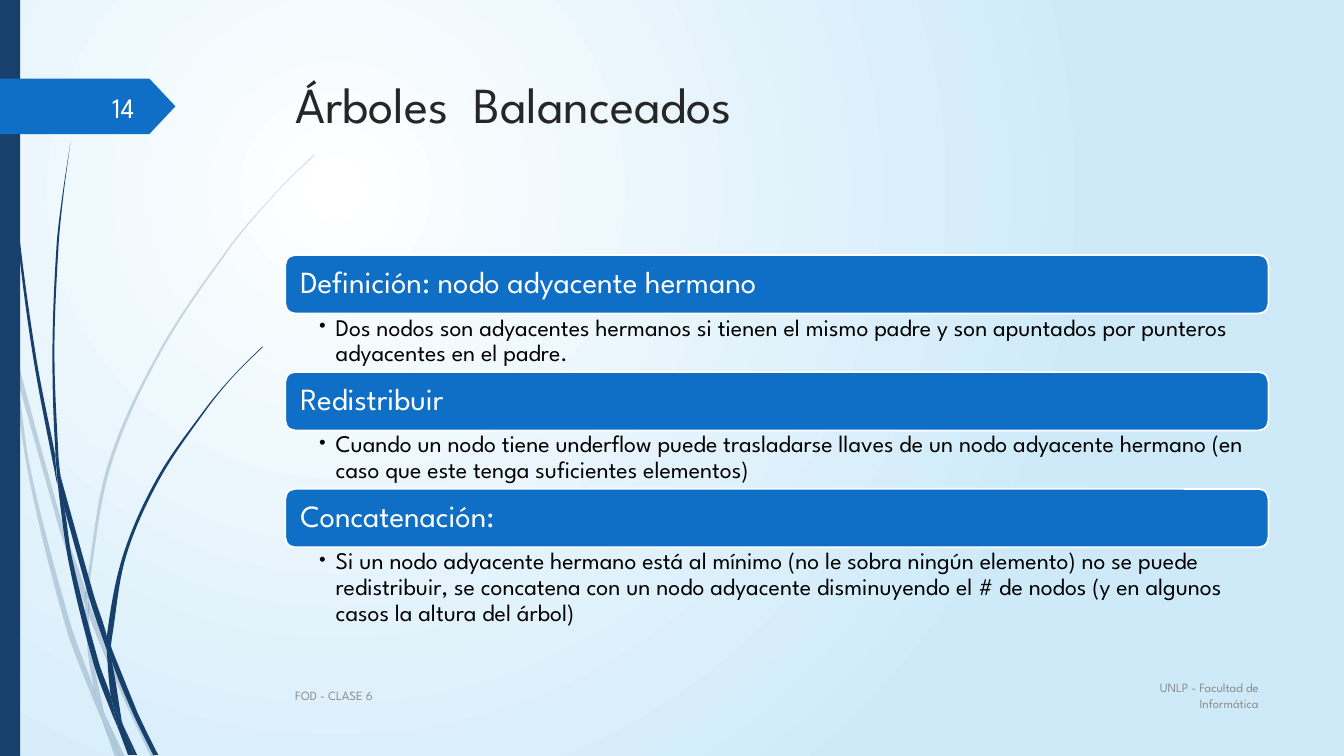
from lxml import etree
from pptx import Presentation
from pptx.dml.color import RGBColor
from pptx.enum import shapes, text
from pptx.oxml import ns
from pptx.util import Inches, Pt

COLORS = {"navy": "17406D", "blue": "0F6FC6", "sky": "CEEAF9", "white": "FFFFFF",
          "title": "262626", "black": "000000", "footer": "8C8C8C", "number": "FEFFFF"}
FONT = "League Spartan"

# Closed outlines of the grass blades, in inches.
LIGHT_BLADES = [
    [(0.11, 3.5), (0.09, 3.22), (0, 2.82), (0, 2.99), (0.1, 3.44)],
    [(0.58, 5.22), (0.84, 5.99), (0.85, 5.86), (0.62, 5.2), (0.14, 3.45), (0.17, 3.76)],
    [(0.92, 6.07), (0.88, 5.96), (0.88, 6.1), (1.23, 6.94), (1.5, 7.51), (1.55, 7.51),
     (1.27, 6.92)],
    [(1.19, 7.51), (1.24, 7.51), (1.05, 7.11)],
    [(0.93, 6.83), (0.7, 6.19), (0.31, 4.69), (0.17, 3.76), (0.11, 3.5), (0.28, 4.7),
     (0.65, 6.21), (0.92, 6.93), (1.01, 7.14), (0.99, 7.07)],
    [(0.84, 5.99), (0.87, 6.46), (0.93, 6.83), (0.96, 6.92), (1.05, 7.11), (1.03, 7.06),
     (0.91, 6.46), (0.88, 6.1), (0.88, 6.08)],
    [(0.88, 5.84), (1.1, 4.62), (1.6, 3.49), (2.29, 2.45), (2.68, 1.98), (2.9, 1.75),
     (3.12, 1.54), (3.12, 1.53), (2.89, 1.75), (2.68, 1.97), (2.28, 2.44), (1.58, 3.48),
     (1.07, 4.61), (0.85, 5.84), (0.85, 5.86), (0.88, 5.96)],
    [(1.01, 7.14), (1.14, 7.51), (1.19, 7.51)],
    [(0.88, 6.08), (0.88, 6.1), (0.88, 5.96), (0.85, 5.86), (0.84, 5.99)],
    [(0.96, 6.92), (0.93, 6.83), (0.99, 7.07), (1.01, 7.14), (1.19, 7.51), (1.05, 7.11)],
]
DARK_BLADES = [
    [(0.07, 1.1), (0.17, 2.33), (0.33, 3.55), (0.56, 4.77), (0.57, 4.81), (0.55, 4.57),
     (0.55, 4.53), (0.36, 3.55), (0.19, 2.32), (0.08, 1.09), (0.04, 0), (0.03, 0)],
    [(0.88, 5.92), (1.06, 6.45), (1.06, 6.31), (0.93, 5.9), (0.6, 4.72), (0.64, 5.05)],
    [(1.13, 6.49), (1.1, 6.41), (1.11, 6.56), (1.32, 7.08), (1.52, 7.49), (1.57, 7.49),
     (1.36, 7.06)],
    [(1.1, 6.91), (0.98, 6.57), (0.72, 5.56), (0.64, 5.05), (0.57, 4.77), (0.68, 5.57),
     (0.93, 6.59), (1.11, 7.08), (1.17, 7.22), (1.16, 7.17)],
    [(0.6, 4.72), (0.58, 4.53), (0.54, 3.49), (0.58, 2.45), (0.63, 1.93), (0.7, 1.41),
     (0.62, 1.93), (0.56, 2.45), (0.52, 3.49), (0.55, 4.49)],
    [(1.33, 7.49), (1.36, 7.49), (1.22, 7.19)],
    [(0.57, 4.77), (0.64, 5.05), (0.6, 4.72), (0.55, 4.49), (0.55, 4.53)],
    [(1.11, 6.33), (1.25, 5.52), (1.58, 4.76), (2.05, 4.06), (2.31, 3.74), (2.61, 3.44),
     (2.6, 3.44), (2.31, 3.73), (2.04, 4.05), (1.56, 4.74), (1.22, 5.51), (1.06, 6.31),
     (1.1, 6.41)],
    [(1.17, 7.22), (1.27, 7.49), (1.31, 7.49)],
    [(1.06, 6.45), (1.1, 6.91), (1.16, 7.06), (1.22, 7.19), (1.21, 7.16), (1.11, 6.56)],
    [(1.06, 6.45), (1.11, 6.56), (1.1, 6.41), (1.06, 6.31)],
    [(1.16, 7.06), (1.1, 6.91), (1.16, 7.17), (1.17, 7.22), (1.3, 7.49), (1.33, 7.49),
     (1.22, 7.19)],
]

SECTIONS = [
    ("Definición: nodo adyacente hermano", 0.59,
     "Dos nodos son adyacentes hermanos si tienen el mismo padre y son apuntados por punteros "
     "adyacentes en el padre."),
    ("Redistribuir", 0.59,
     "Cuando un nodo tiene underflow puede trasladarse llaves de un nodo adyacente hermano (en "
     "caso que este tenga suficientes elementos)"),
    ("Concatenación:", 0.85,
     "Si un nodo adyacente hermano está al mínimo (no le sobra ningún elemento) no se puede "
     "redistribuir, se concatena con un nodo adyacente disminuyendo el # de nodos (y en algunos "
     "casos la altura del árbol)"),
]


def rgb(name):
    return RGBColor.from_string(COLORS[name])


def paint(sp, color):
    sp.shadow.inherit = False
    sp.fill.solid()
    sp.fill.fore_color.rgb = rgb(color)
    sp.line.fill.background()


def write(sp, words, size, color, align=text.PP_ALIGN.LEFT, anchor=text.MSO_ANCHOR.MIDDLE,
          insets=(0.1, 0.05, 0.1, 0.05)):
    """Fill a shape with one paragraph and return that paragraph."""
    tf = sp.text_frame
    tf.text = words
    tf.word_wrap = True
    tf.vertical_anchor = anchor
    tf.margin_left, tf.margin_top, tf.margin_right, tf.margin_bottom = map(Inches, insets)
    p = tf.paragraphs[0]
    p.alignment = align
    r = p.runs[0]
    r.font.name, r.font.size, r.font.color.rgb = FONT, Pt(size), rgb(color)
    return p


def add_text(s, box, *args, **kwargs):
    return write(s.shapes.add_textbox(*map(Inches, box)), *args, **kwargs)


def add_background(s):
    """Radial gradient whose centre lies in the upper left quarter."""
    fill = s.background.fill
    fill.gradient()
    for stop, color in zip(fill.gradient_stops, ("white", "sky")):
        stop.color.rgb = rgb(color)
    grad = next(s._element.iter(ns.qn("a:gradFill")))
    grad.remove(grad.find(ns.qn("a:lin")))
    circle = etree.SubElement(grad, ns.qn("a:path"), {"path": "circle"})
    etree.SubElement(circle, ns.qn("a:fillToRect"),
                     {"l": "50000", "t": "50000", "r": "100000", "b": "100000"})


def tangent(before, here, after):
    """Direction of the curve at a point, zero where the outline has a corner."""
    a, b = here - before, after - here
    if (a * b.conjugate()).real < 0.5 * abs(a) * abs(b):
        return 0
    return (after - before) / (abs(a) + abs(b))


def round_outline(sp, points):
    """Turn the straight segments of a closed freeform into Bézier curves."""
    origin = complex(sp.left, sp.top)
    z = [complex(Inches(x), Inches(y)) - origin for x, y in points]
    n = len(z)
    slopes = [tangent(z[i - 1], z[i], z[(i + 1) % n]) for i in range(n)]
    for i, line in enumerate(list(sp._element.iter(ns.qn("a:lnTo"))), start=1):
        j = i % n
        reach = abs(z[j] - z[i - 1]) / 3
        curve = etree.Element(ns.qn("a:cubicBezTo"))
        for c in (z[i - 1] + reach * slopes[i - 1], z[j] - reach * slopes[j], z[j]):
            etree.SubElement(curve, ns.qn("a:pt"),
                             {"x": str(round(c.real)), "y": str(round(c.imag))})
        line.getparent().replace(line, curve)


def add_blades(s, blades, opacity):
    for points in blades:
        corners = [(Inches(x), Inches(y)) for x, y in points]
        builder = s.shapes.build_freeform(*corners[0])
        builder.add_line_segments(corners[1:], close=True)
        sp = builder.convert_to_shape()
        round_outline(sp, points)
        paint(sp, "navy")
        color = next(sp._element.spPr.iter(ns.qn("a:srgbClr")))
        etree.SubElement(color, ns.qn("a:alpha"), {"val": str(opacity * 1000)})


def add_side_band(s, x, y, w, h):
    """Dark edge strip with the slide number tag over it."""
    strip = s.shapes.add_shape(shapes.MSO_SHAPE.RECTANGLE, *map(Inches, (x, y, w, h)))
    paint(strip, "navy")
    tag = s.shapes.add_shape(shapes.MSO_SHAPE.PENTAGON,
                             *map(Inches, (x, y + 0.78, 1.74, 0.55)))
    tag.adjustments[0] = 0.47
    paint(tag, "blue")
    add_text(s, (x + 0.58, y + 0.86, 0.85, 0.4), "14", 20, "number", text.PP_ALIGN.RIGHT)


def add_sections(s, x, y, w):
    """Stack of heading bars, each followed by its bulleted explanation."""
    for heading, body_h, body in SECTIONS:
        bar = s.shapes.add_shape(shapes.MSO_SHAPE.ROUNDED_RECTANGLE,
                                 *map(Inches, (x, y, w, 0.58)))
        paint(bar, "blue")
        bar.line.color.rgb, bar.line.width = rgb("white"), Pt(1.25)
        write(bar, heading, 22, "white", insets=(0.12, 0.09, 0.12, 0.1)).line_spacing = 0.9
        p = add_text(s, (x, y + 0.57, w, body_h), body, 17, "black",
                     anchor=text.MSO_ANCHOR.TOP, insets=(0.31, 0.03, 0.17, 0.03))
        p.line_spacing = 0.9
        pPr = p._p.get_or_add_pPr()
        pPr.set("marL", str(Inches(0.19)))
        pPr.set("indent", str(-Inches(0.19)))
        etree.SubElement(pPr, ns.qn("a:buFont"), {"typeface": FONT})
        etree.SubElement(pPr, ns.qn("a:buChar"), {"char": "•"})
        y += 0.57 + body_h


def add_footer(s, x, y, w):
    add_text(s, (x, y, 8.33, 0.4), "FOD - CLASE 6", 9, "footer")
    add_text(s, (x + w - 1.25, y, 1.25, 0.4), "UNLP - Facultad de Informática", 9, "footer",
             text.PP_ALIGN.RIGHT)


prs = Presentation()
prs.slide_width, prs.slide_height = Inches(13.33), Inches(7.5)
s = prs.slides.add_slide(prs.slide_layouts[6])
add_background(s)
add_blades(s, LIGHT_BLADES, 20)
add_blades(s, DARK_BLADES, 100)
add_side_band(s, 0, 0, 0.2, 7.5)
add_text(s, (2.83, 0.68, 9.75, 1.4), "Árboles  Balanceados", 36, "title",
         anchor=text.MSO_ANCHOR.TOP)
add_sections(s, 2.83, 2.53, 9.75)
add_footer(s, 2.83, 6.7, 9.75)
prs.save("out.pptx")
